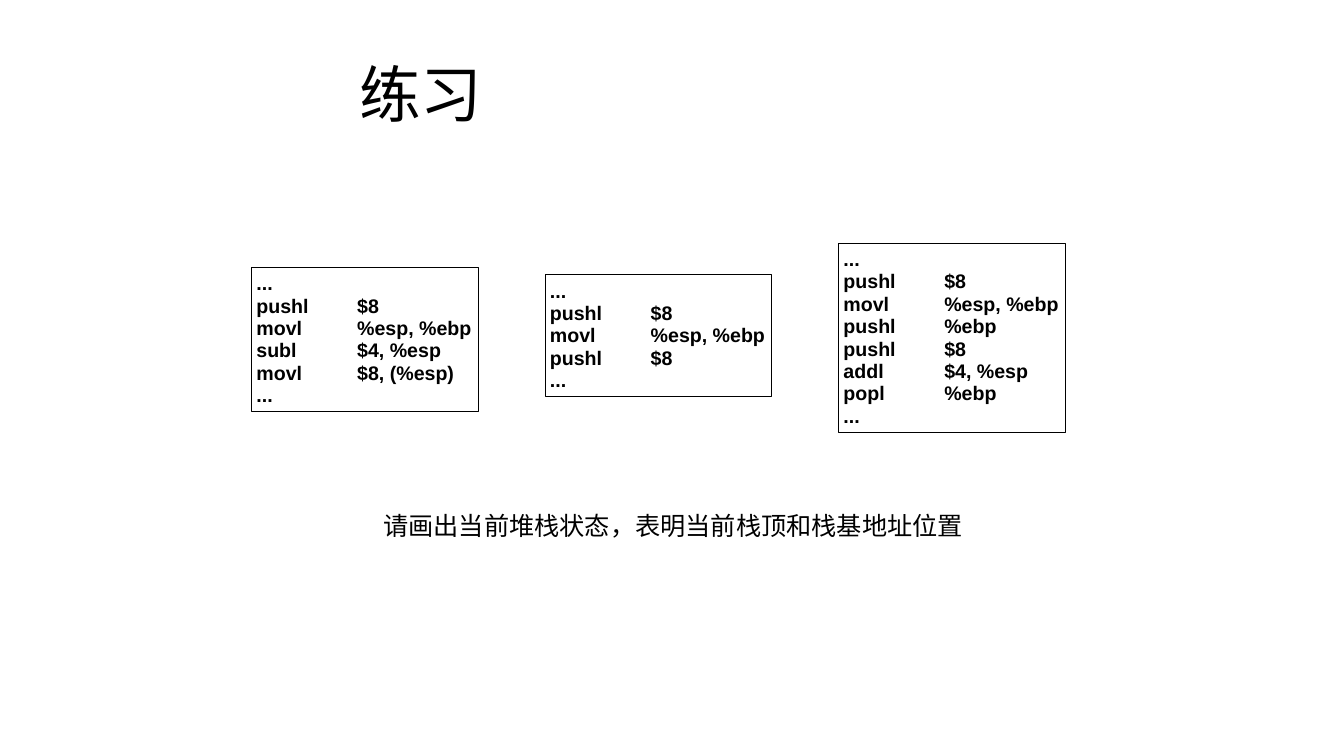
from dataclasses import dataclass

from lxml.etree import SubElement
from pptx import Presentation
from pptx.dml.color import RGBColor
from pptx.enum.shapes import MSO_SHAPE as Shape
from pptx.enum.text import MSO_ANCHOR as Anchor, PP_ALIGN as Align
from pptx.oxml.ns import qn
from pptx.util import Inches, Pt


@dataclass(frozen=True)
class Theme:
    ink: RGBColor = RGBColor(0, 0, 0)
    han: str = "Noto Sans CJK SC"
    code: str = "Arial"
    title: int = 88
    note: int = 36
    body: int = 28
    pitch: int = 32
    pad: float = 0.1


THEME = Theme()
TAB = 2
WIDTH = 4.5
LEFT, STEP = 4.99, 5.825
BLOCKS = [
    (5.3, ["...", "pushl\t$8", "movl\t%esp, %ebp", "subl\t$4, %esp",
           "movl\t$8, (%esp)", "..."]),
    (5.45, ["...", "pushl\t$8", "movl\t%esp, %ebp", "pushl\t$8", "..."]),
    (4.82, ["...", "pushl\t$8", "movl\t%esp, %ebp", "pushl\t%ebp",
            "pushl\t$8", "addl\t$4, %esp", "popl\t%ebp", "..."]),
]


def place(shape, box):
    for name, size in zip(("left", "top", "width", "height"), box):
        setattr(shape, name, Inches(size))


def write(shape, lines, face, size, bold=False, anchor=Anchor.TOP, wrap=False):
    frame = shape.text_frame
    look = {"word_wrap": wrap, "vertical_anchor": anchor}
    look |= {f"margin_{side}": Inches(THEME.pad)
             for side in ("left", "top", "right", "bottom")}
    for name, value in look.items():
        setattr(frame, name, value)
    for i, line in enumerate(lines):
        para = frame.add_paragraph() if i else frame.paragraphs[0]
        para.alignment = Align.LEFT
        run = para.add_run()
        run.text = line
        font = run.font
        for name, value in {"name": face, "size": Pt(size), "bold": bold}.items():
            setattr(font, name, value)
        font.color.rgb = THEME.ink
        SubElement(run._r.get_or_add_rPr(), qn("a:ea"), typeface=face)
    return frame


def add_title(slide, box, text):
    title = slide.shapes.title
    place(title, box)
    write(title, [text], THEME.han, THEME.title, anchor=Anchor.MIDDLE, wrap=True)


def add_code(slide, left, top, lines):
    """Draw a framed listing as tall as its lines, with a tab before operands."""
    high = Pt(len(lines) * THEME.pitch) + 2 * Inches(THEME.pad)
    box = [Inches(v) for v in (left, top, WIDTH)]
    shape = slide.shapes.add_shape(Shape.RECTANGLE, *box, high)
    shape.shadow.inherit = False
    shape.fill.background()
    shape.line.color.rgb = THEME.ink
    shape.line.width = Pt(1)
    frame = write(shape, lines, THEME.code, THEME.body, bold=True)
    for para in frame.paragraphs:
        para.line_spacing = Pt(THEME.pitch)
        tabs = SubElement(para._p.get_or_add_pPr(), qn("a:tabLst"))
        SubElement(tabs, qn("a:tab"), pos=str(Inches(TAB)), algn="l")


def add_note(slide, box, text):
    note = slide.shapes.add_textbox(*map(Inches, box))
    write(note, [text], THEME.han, THEME.note)


def main():
    deck = Presentation()
    deck.slide_width, deck.slide_height = Inches(26.67), Inches(15)
    slide = deck.slides.add_slide(deck.slide_layouts.get_by_name("Title Only"))
    add_title(slide, (7.03, 0.6, 15.3, 2.5), "练习")
    for i, (top, lines) in enumerate(BLOCKS):
        add_code(slide, LEFT + i * STEP, top, lines)
    add_note(slide, (7.51, 10.02, 11.71, 0.89),
             "请画出当前堆栈状态，表明当前栈顶和栈基地址位置")
    deck.save("out.pptx")


if __name__ == "__main__":
    main()
